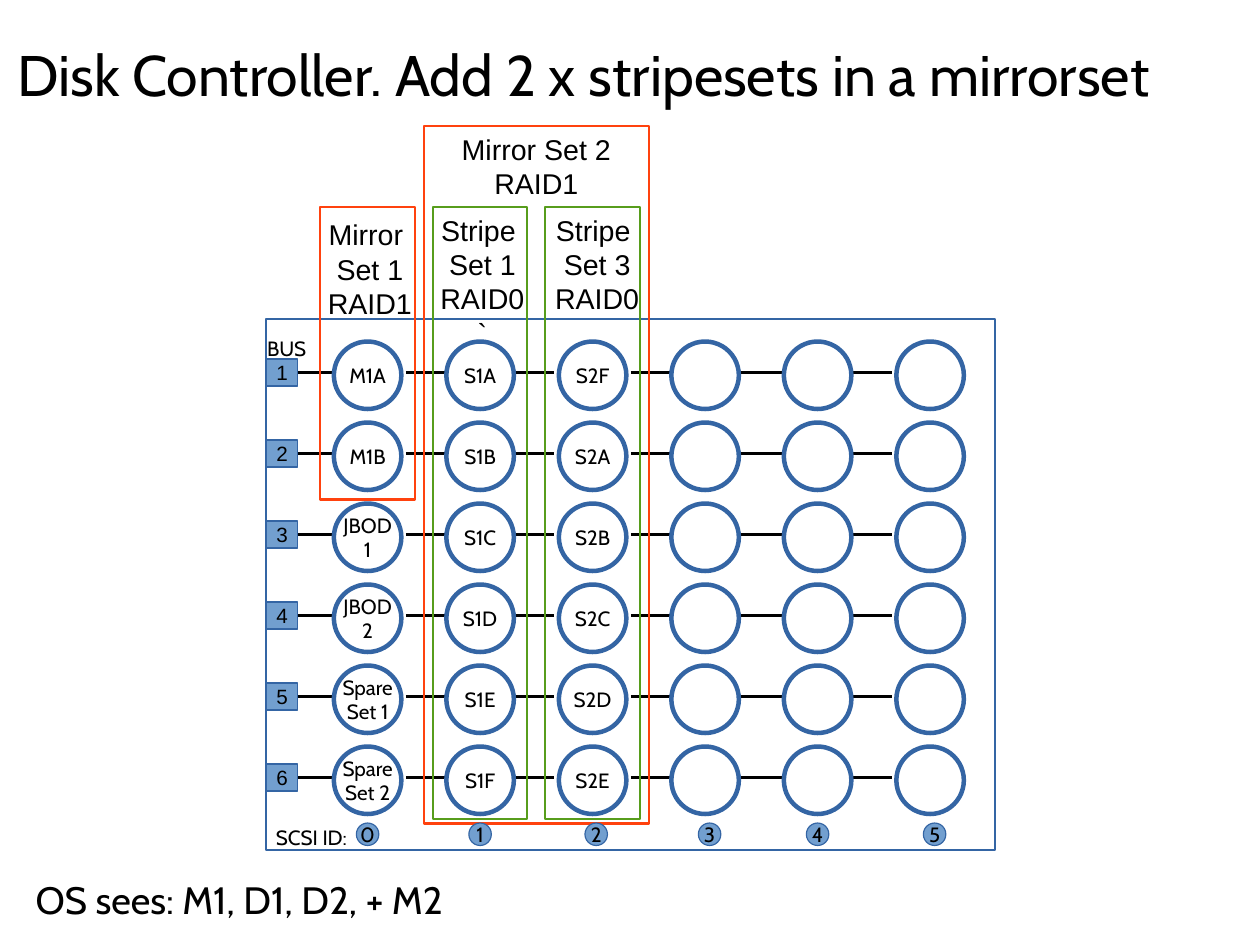
from lxml import etree
from pptx import Presentation
from pptx import util as u
from pptx.dml.color import RGBColor
from pptx.enum import shapes, text
from pptx.oxml.ns import qn

HEADING = "Disk Controller. Add 2 x stripesets in a mirrorset"
SUMMARY = "OS sees: M1, D1, D2, + M2"

# One row per bus, one entry per SCSI ID; "" is an empty slot
DISKS = [
    ["M1A", "S1A", "S2F", "", "", ""],
    ["M1B", "S1B", "S2A", "", "", ""],
    ["JBOD\n1", "S1C", "S2B", "", "", ""],
    ["JBOD\n2", "S1D", "S2C", "", "", ""],
    ["Spare\nSet 1", "S1E", "S2D", "", "", ""],
    ["Spare\nSet 2", "S1F", "S2E", "", "", ""],
]

# All lengths are in cm; boxes are left, top, width, height
LINKS = [(6.62, 7.42), (9.02, 9.92), (11.42, 12.32),
         (14.02, 14.92), (16.42, 17.42), (18.92, 19.82)]
ID_LEFTS = [7.92, 10.42, 13, 15.52, 17.92, 20.52]
FRAMES = [
    ((5.92, 7.09, 16.2, 11.8), "blue"),
    ((7.12, 4.6, 2.1, 6.5), "red"),
    ((9.62, 4.6, 2.1, 13.6), "green"),
    ((12.12, 4.6, 2.1, 13.6), "green"),
    ((9.42, 2.8, 5, 15.5), "red"),
]
LABELS = [
    ("Mirror \nSet 1\nRAID1", (7.02, 4.7, 2.4, 2.4), "Arial", 18),
    ("Stripe \nSet 1\nRAID0`", (9.52, 4.6, 2.4, 3.1), "Arial", 18),
    ("Stripe \nSet 3\nRAID0", (12.02, 4.6, 2.5, 2.5), "Arial", 18),
    ("Mirror Set 2\nRAID1", (9.42, 2.8, 5, 1.68), "Arial", 18),
    ("SCSI ID:", (5.72, 18.19, 2.4, 0.75), "Cabin", 13),
    ("BUS", (5.62, 7.34, 1.5, 0.75), "Cabin", 13),
]
COLORS = {"black": "000000", "blue": "3465A4", "badge": "729FCF",
          "red": "FF420E", "green": "579D1C"}

DISK_LEFT, DISK_TOP, DISK_SIZE = 7.42, 7.59, 1.5
COLUMN_STEP, ROW_STEP = 2.5, 1.8
LINK_Y = 8.28
BUS_LEFT, BUS_WIDTH, BUS_HEIGHT = 5.92, 0.7, 0.6
ID_TOP, ID_SIZE = 18.29, 0.5
THIN, THICK = 1.42, 2.83
CENTER = text.PP_ALIGN.CENTER
MIDDLE = text.MSO_ANCHOR.MIDDLE
OVAL = shapes.MSO_SHAPE.OVAL
RECT = shapes.MSO_SHAPE.RECTANGLE


def color(name):
    return RGBColor.from_string(COLORS[name])


def write(shape, words, font, size, align=CENTER, anchor=MIDDLE,
          wrap=False, insets=(0.25, 0.13)):
    frame = shape.text_frame
    frame.text = words
    across, down = map(u.Cm, insets)
    layout = {"margin_left": across, "margin_right": across,
              "margin_top": down, "margin_bottom": down,
              "word_wrap": wrap, "vertical_anchor": anchor,
              "auto_size": text.MSO_AUTO_SIZE.NONE}
    for key, value in layout.items():
        setattr(frame, key, value)
    for paragraph in frame.paragraphs:
        paragraph.alignment = align
        paragraph.space_before = u.Pt(0)
        for key, value in {"name": font, "size": u.Pt(size)}.items():
            setattr(paragraph.font, key, value)
        paragraph.font.color.rgb = color("black")


def add_outline(diagram, kind, box, line, width, fill=None):
    shape = diagram.add_shape(kind, *map(u.Cm, box))
    shape.shadow.inherit = False
    if fill:
        shape.fill.solid()
        shape.fill.fore_color.rgb = color(fill)
    else:
        shape.fill.background()
    shape.line.color.rgb = color(line)
    shape.line.width = u.Pt(width)
    return shape


def add_badge(diagram, kind, box, number, font):
    badge = add_outline(diagram, kind, box, "blue", 0, "badge")
    write(badge, str(number), font, 13)


def add_link(diagram, start, end, y):
    link = diagram.add_connector(shapes.MSO_CONNECTOR.STRAIGHT,
                                 *map(u.Cm, (start, y, end, y)))
    link.line.color.rgb = color("black")
    link.line.width = u.Pt(THIN)
    etree.SubElement(link._element.spPr, qn("a:effectLst"))


def add_bus(diagram, row, disks):
    """Draw one row: bus badge, links and disks."""
    drop = row * ROW_STEP
    for start, end in LINKS:
        add_link(diagram, start, end, LINK_Y + drop)
    for column, name in enumerate(disks):
        box = (DISK_LEFT + column * COLUMN_STEP, DISK_TOP + drop, DISK_SIZE, DISK_SIZE)
        disk = add_outline(diagram, OVAL, box, "blue", THICK)
        if name:
            write(disk, name, "Cabin", 13, insets=(0.3, 0.18))
    bus_box = (BUS_LEFT, LINK_Y - BUS_HEIGHT / 2 + drop, BUS_WIDTH, BUS_HEIGHT)
    add_badge(diagram, RECT, bus_box, row + 1, "Arial")


def place_heading(holder, words, box, size):
    """Fill a template placeholder with one plain left-aligned line."""
    holder.left, holder.top, holder.width, holder.height = map(u.Cm, box)
    write(holder, words, "Cabin", size, align=text.PP_ALIGN.LEFT, wrap=True, insets=(0, 0))
    props = holder.text_frame.paragraphs[0]._p.get_or_add_pPr()
    props.set("marL", "0")
    props.set("indent", "0")
    etree.SubElement(props, qn("a:buNone"))


def main():
    deck = Presentation()
    deck.slide_width, deck.slide_height = u.Cm(28), u.Cm(21)
    slide = deck.slides.add_slide(deck.slide_layouts[1])
    place_heading(slide.shapes.title, HEADING, (0.38, 0.23, 27.2, 2.8), 36)
    place_heading(slide.placeholders[1], SUMMARY, (0.79, 19.2, 26.6, 1.58), 24)

    diagram = slide.shapes.add_group_shape().shapes
    for row, disks in enumerate(DISKS):
        add_bus(diagram, row, disks)
    for box, line in FRAMES:
        add_outline(diagram, RECT, box, line, THIN)
    for number, left in enumerate(ID_LEFTS):
        add_badge(diagram, OVAL, (left, ID_TOP, ID_SIZE, ID_SIZE), number, "Cabin")
    for words, box, font, size in LABELS:
        label = diagram.add_textbox(*map(u.Cm, box))
        write(label, words, font, size, anchor=text.MSO_ANCHOR.TOP, wrap=True)
    deck.save("out.pptx")


if __name__ == "__main__":
    main()
